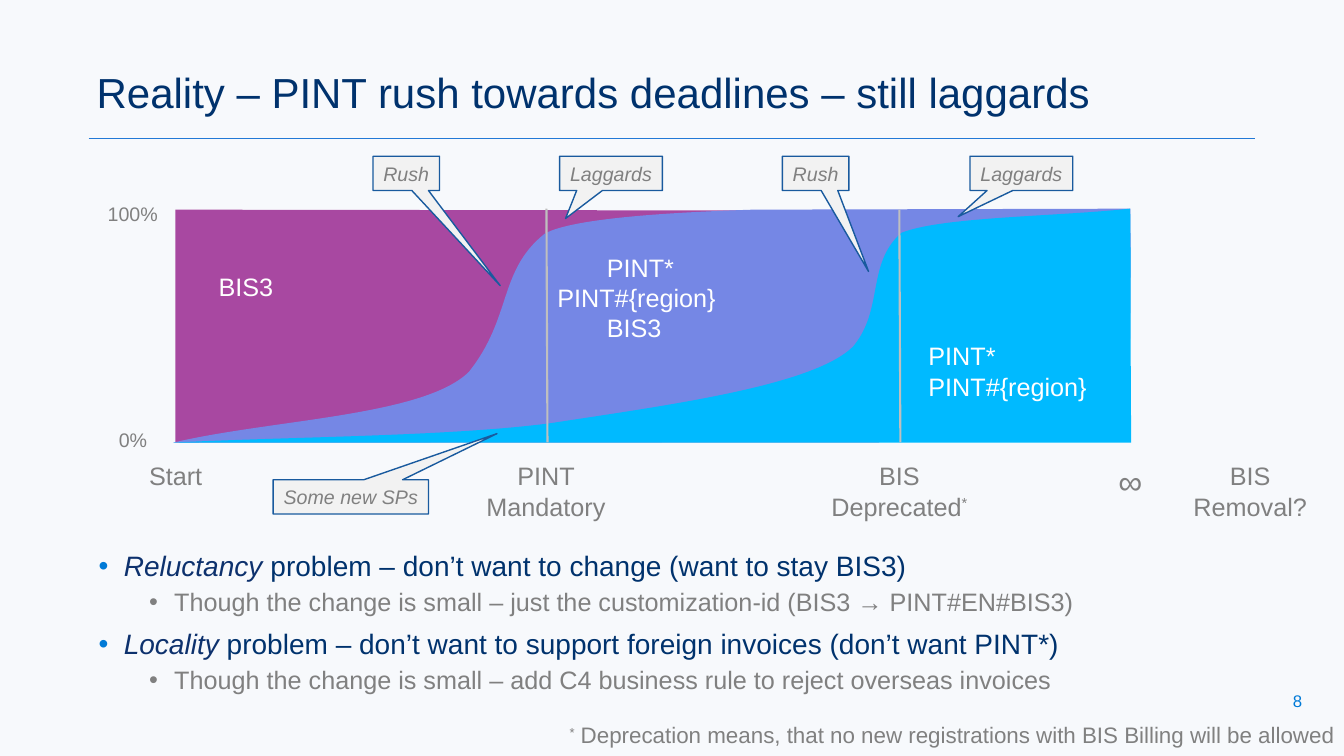
import pptx
import pptx.util
import pptx.slide
import pptx.dml.color
import pptx.enum.shapes
import pptx.enum.text
import pptx.oxml.ns
import lxml.etree
from dataclasses import dataclass, field
from typing import Any

Inches = pptx.util.Inches
Pt = pptx.util.Pt
Align = pptx.enum.text.PP_ALIGN
Anchor = pptx.enum.text.MSO_ANCHOR
Kind = pptx.enum.shapes.MSO_SHAPE
Point = tuple[float, float]


@dataclass(frozen=True)
class Theme:
    font: str = "Arial"
    page: str = "F7F9FC"
    navy: str = "00326D"
    deep: str = "0D316D"
    blue: str = "007AD7"
    rule: str = "2279D6"
    gray: str = "808080"
    mark: str = "BFBFBF"
    white: str = "FFFFFF"
    plum: str = "A848A1"
    iris: str = "7587E5"
    sky: str = "00BAFF"
    note: str = "F2F2F2"
    edge: str = "195A9E"
    title: int = 30
    sign: int = 24
    head: int = 20
    text: int = 18
    foot: int = 16
    small: int = 14
    number: int = 12


THEME = Theme()
MID = {"alignment": Align.CENTER}
LABEL = MID | {"space_after": Pt(6)}
HEAD = {"line_spacing": 0.9, "space_before": Pt(10)}
SUB = {"line_spacing": 0.9, "space_before": Pt(5), "level": 1}
GROW = {"word_wrap": False, "auto_size": pptx.enum.text.MSO_AUTO_SIZE.SHAPE_TO_FIT_TEXT}
WRAP = {"word_wrap": True}
CENTER = {"vertical_anchor": Anchor.MIDDLE}


@dataclass
class Bit:
    text: str
    size: int = THEME.text
    tint: str = THEME.gray
    slant: bool = False
    lift: bool = False


@dataclass
class Line:
    bits: list[Bit]
    form: dict[str, Any] = field(default_factory=dict)
    inset: float = 0
    hang: float = 0
    dot: str = ""


@dataclass
class Box:
    place: tuple[float, float, float, float]
    lines: list[Line]
    form: dict[str, Any] = field(default_factory=lambda: GROW)


@dataclass
class Area:
    """Steps hold two numbers for a line and six for a cubic curve."""
    tint: str
    start: Point
    steps: list[tuple[float, ...]]


@dataclass
class Callout:
    text: str
    place: tuple[float, float, float, float]
    tip: Point


@dataclass
class Rule:
    ends: tuple[float, float, float, float]
    tint: str
    width: float


def head(lead: str, rest: str) -> Line:
    bits = [Bit(lead, THEME.head, THEME.deep, True), Bit(rest, THEME.head, THEME.navy)]
    return Line(bits, HEAD, 0.25, -0.25, THEME.blue)


def sub(text: str) -> Line:
    return Line([Bit(text)], SUB, 0.75, -0.25, THEME.gray)


def white(text: str, inset: float = 0) -> Line:
    return Line([Bit(text, tint=THEME.white)], inset=inset)


AREAS = [
    Area(THEME.plum, (1.74, 2.08), [(8.72, 2.09), (8.72, 4.39), (1.74, 4.39)]),
    Area(THEME.iris, (1.72, 4.39), [
        (2.7, 4.16, 4.2, 4.13, 4.65, 3.69), (5.08, 3.15, 4.94, 2.69, 5.4, 2.32),
        (5.69, 2.15, 6.85, 2.1, 7.47, 2.08), (11.21, 2.07), (11.22, 2.84, 11.2, 3.61, 11.2, 4.38)]),
    Area(THEME.sky, (1.72, 4.39), [
        (2.97, 4.33, 4.43, 4.33, 5.45, 4.2), (6.62, 4.02, 8.06, 3.83, 8.46, 3.44),
        (8.77, 3.07, 8.59, 2.62, 8.94, 2.31), (9.34, 2.15, 10.45, 2.15, 11.21, 2.07),
        (11.22, 3.21, 11.21, 3.32, 11.22, 4.39)])]
RULES = [Rule((0.88, 1.37, 12.45, 1.37), THEME.rule, 0.5),
         Rule((5.42, 2.07, 5.43, 4.39), THEME.mark, 1.5),
         Rule((8.92, 2.08, 8.93, 4.39), THEME.mark, 1.5)]
CALLOUTS = [Callout("Some new SPs", (2.71, 4.76, 1.54, 0.34), (0.941, -1.845)),
            Callout("Laggards", (9.62, 1.55, 1.02, 0.34), (-0.615, 1.263)),
            Callout("Laggards", (5.55, 1.55, 1.02, 0.34), (-0.442, 1.318)),
            Callout("Rush", (3.7, 1.55, 0.66, 0.34), (1.412, 3.276)),
            Callout("Rush", (7.76, 1.55, 0.66, 0.34), (0.796, 2.863))]
BOXES = [
    Box((0.86, 0.64, 11.31, 0.61), [Line([Bit(
        "Reality – PINT rush towards deadlines – still laggards", THEME.title, THEME.navy)],
        {"line_spacing": 0.9})], WRAP | CENTER),
    Box((12.65, 6.75, 0.44, 0.4), [Line([Bit("8", THEME.number, THEME.blue)], MID)], WRAP | CENTER),
    Box((0.97, 1.95, 0.7, 0.34), [Line([Bit("100%", THEME.small)])]),
    Box((1.08, 4.2, 0.49, 0.34), [Line([Bit("0%", THEME.small)])]),
    Box((2.07, 2.64, 0.75, 0.4), [white("BIS3")]),
    Box((5.43, 2.45, 1.79, 1.01), [white("PINT*", 0.49), white("PINT#{region}"), white("BIS3", 0.49)]),
    Box((9.11, 3.33, 1.79, 0.71), [white("PINT*"), white("PINT#{region}")]),
    Box((1.38, 4.52, 0.73, 0.4), [Line([Bit("Start")])]),
    Box((4.72, 4.52, 1.39, 0.71), [Line([Bit("PINT\nMandatory")], LABEL)]),
    Box((8.12, 4.52, 1.6, 0.71), [Line([Bit("BIS\nDeprecated"), Bit("*", lift=True)], LABEL)]),
    Box((10.99, 4.52, 0.44, 0.5), [Line([Bit("∞", THEME.sign)], MID)]),
    Box((11.73, 4.52, 1.34, 0.71), [Line([Bit("BIS\nRemoval?")], LABEL)]),
    Box((0.88, 5.43, 11.57, 1.51), [
        head("Reluctancy ", "problem – don’t want to change (want to stay BIS3)"),
        sub("Though the change is small – just the customization-id (BIS3 → PINT#EN#BIS3)"),
        head("Locality ", "problem – don’t want to support foreign invoices (don’t want PINT*)"),
        sub("Though the change is small – add C4 business rule to reject overseas invoices")], WRAP),
    Box((5.55, 7.11, 7.89, 0.37), [Line([Bit("*", THEME.foot, lift=True), Bit(
        " Deprecation means, that no new registrations with BIS Billing will be allowed", THEME.foot)])])]


def color(tint: str) -> pptx.dml.color.RGBColor:
    return pptx.dml.color.RGBColor.from_string(tint)


def apply(target: Any, form: dict[str, Any]) -> None:
    for name, value in form.items():
        setattr(target, name, value)


def add_tag(parent: Any, name: str, **values: str) -> Any:
    return lxml.etree.SubElement(parent, pptx.oxml.ns.qn(name), values)


def paint(shape: Any, tint: str) -> None:
    shape.shadow.inherit = False
    shape.fill.solid()
    shape.fill.fore_color.rgb = color(tint)
    shape.line.fill.background()


def add_bit(para: Any, bit: Bit) -> None:
    for count, part in enumerate(bit.text.split("\n")):
        if count:
            para.add_line_break()
        run = para.add_run()
        run.text = part
        apply(run.font, {"name": THEME.font, "size": Pt(bit.size), "italic": bit.slant})
        run.font.color.rgb = color(bit.tint)
        if bit.lift:
            run._r.get_or_add_rPr().set("baseline", "30000")


def fill_text(frame: Any, lines: list[Line], form: dict[str, Any]) -> None:
    apply(frame, form)
    for count, line in enumerate(lines):
        para = frame.add_paragraph() if count else frame.paragraphs[0]
        apply(para, line.form)
        props = para._p.get_or_add_pPr()
        props.set("marL", str(Inches(line.inset)))
        props.set("indent", str(Inches(line.hang)))
        if line.dot:
            add_tag(add_tag(props, "a:buClr"), "a:srgbClr", val=line.dot)
            add_tag(props, "a:buFont", typeface=THEME.font)
            add_tag(props, "a:buChar", char="•")
        for bit in line.bits:
            add_bit(para, bit)


def draw_area(slide: pptx.slide.Slide, area: Area) -> None:
    steps = [[Inches(n) for n in step] for step in area.steps + [area.start]]
    form = slide.shapes.build_freeform(*steps[-1])
    form.add_line_segments([step[-2:] for step in steps], close=True)
    shape = form.convert_to_shape()
    paint(shape, area.tint)
    for tag, step in zip(list(shape._element.iter(pptx.oxml.ns.qn("a:lnTo"))), steps):
        if len(step) == 6:
            bend = lxml.etree.Element(pptx.oxml.ns.qn("a:cubicBezTo"))
            for x, y in zip(step[::2], step[1::2]):
                add_tag(bend, "a:pt", x=str(x - shape.left), y=str(y - shape.top))
            tag.getparent().replace(tag, bend)


def draw_rule(slide: pptx.slide.Slide, rule: Rule) -> None:
    straight = pptx.enum.shapes.MSO_CONNECTOR.STRAIGHT
    line = slide.shapes.add_connector(straight, *map(Inches, rule.ends))
    line.line.color.rgb = color(rule.tint)
    line.line.width = Pt(rule.width)
    add_tag(line._element.spPr, "a:effectLst")


def draw_note(slide: pptx.slide.Slide, note: Callout) -> None:
    shape = slide.shapes.add_shape(Kind.RECTANGULAR_CALLOUT, *map(Inches, note.place))
    shape.adjustments[0], shape.adjustments[1] = note.tip
    paint(shape, THEME.note)
    shape.line.color.rgb = color(THEME.edge)
    shape.line.width = Pt(1)
    fill_text(shape.text_frame, [Line([Bit(note.text, THEME.small, slant=True)], MID)], GROW | CENTER)


def draw_box(slide: pptx.slide.Slide, box: Box) -> None:
    shape = slide.shapes.add_textbox(*map(Inches, box.place))
    fill_text(shape.text_frame, box.lines, box.form)


deck = pptx.Presentation()
apply(deck, {"slide_width": Inches(13.33), "slide_height": Inches(7.5)})
slide = deck.slides.add_slide(deck.slide_layouts[6])
paint(slide.shapes.add_shape(Kind.RECTANGLE, 0, 0, deck.slide_width, deck.slide_height), THEME.page)
for draw, items in ((draw_area, AREAS), (draw_rule, RULES), (draw_note, CALLOUTS), (draw_box, BOXES)):
    for item in items:
        draw(slide, item)
deck.save("out.pptx")
